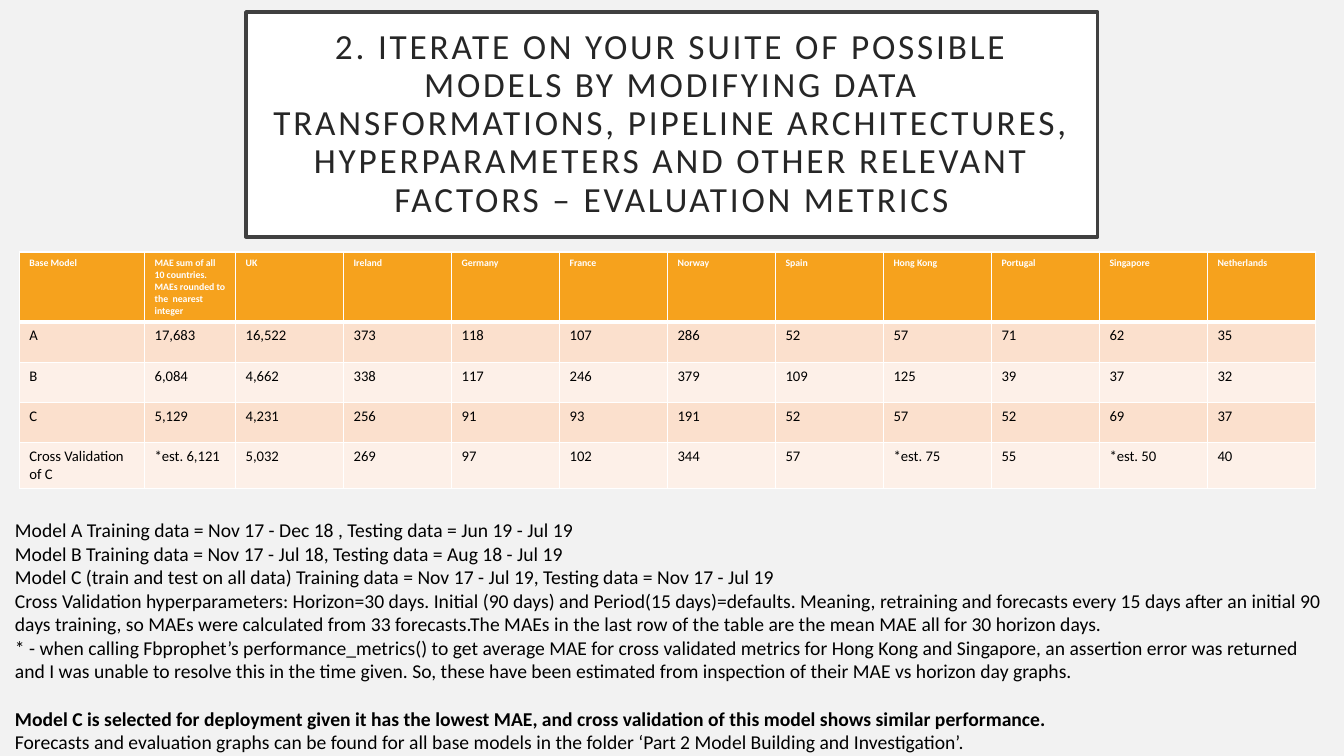
from lxml.etree import SubElement
from pptx import Presentation
from pptx.dml.color import RGBColor
from pptx.enum.text import MSO_ANCHOR, MSO_AUTO_SIZE, PP_ALIGN
from pptx.oxml.ns import qn
from pptx.util import Pt

COLORS = {
    "background": "F2F2F2", "white": "FFFFFF", "frame": "404040",
    "heading": "262626", "black": "000000", "header": "F6A21D",
    "odd": "FBE0CD", "even": "FDF0E8",
}

HEADING = (
    "2. ITERATE ON YOUR SUITE OF POSSIBLE MODELS BY MODIFYING DATA "
    "TRANSFORMATIONS, PIPELINE ARCHITECTURES, HYPERPARAMETERS AND OTHER "
    "RELEVANT FACTORS – EVALUATION METRICS"
)

METRICS = [
    ["Base Model",
     "MAE sum of all 10 countries. MAEs rounded to the  nearest integer",
     "UK", "Ireland", "Germany", "France", "Norway", "Spain", "Hong Kong",
     "Portugal", "Singapore", "Netherlands"],
    ["A", "17,683", "16,522", "373", "118", "107", "286", "52", "57", "71", "62", "35"],
    ["B", "6,084", "4,662", "338", "117", "246", "379", "109", "125", "39", "37", "32"],
    ["C", "5,129", "4,231", "256", "91", "93", "191", "52", "57", "52", "69", "37"],
    ["Cross Validation of C", "*est. 6,121", "5,032", "269", "97", "102", "344",
     "57", "*est. 75", "55", "*est. 50", "40"],
]
COLUMN_WIDTHS = [89.5, 65] + [77.14] * 10
ROW_HEIGHTS = [44] + [28.8] * 4

NOTES = [
    "Model A Training data = Nov 17 - Dec 18 , Testing data = Jun 19 - Jul 19",
    "Model B Training data = Nov 17 - Jul 18, Testing data = Aug 18 - Jul 19",
    "Model C (train and test on all data) Training data = Nov 17 - Jul 19, "
    "Testing data = Nov 17 - Jul 19",
    "Cross Validation hyperparameters: Horizon=30 days. Initial (90 days) and "
    "Period(15 days)=defaults. Meaning, retraining and forecasts every 15 days "
    "after an initial 90 days training, so MAEs were calculated from 33 "
    "forecasts.The MAEs in the last row of the table are the mean MAE all for "
    "30 horizon days.",
    "* - when calling Fbprophet’s performance_metrics() to get average MAE for "
    "cross validated metrics for Hong Kong and Singapore, an assertion error was "
    "returned and I was unable to resolve this in the time given. So, these have "
    "been estimated from inspection of their MAE vs horizon day graphs.",
]
CONCLUSION = (
    "Model C is selected for deployment given it has the lowest MAE, and cross "
    "validation of this model shows similar performance."
)
REFERENCE = (
    "Forecasts and evaluation graphs can be found for all base models in the "
    "folder ‘Part 2 Model Building and Investigation’."
)


def rgb(name):
    return RGBColor.from_string(COLORS[name])


def apply(target, values):
    for attribute, value in values.items():
        setattr(target, attribute, value)


def paint(fill, color):
    fill.solid()
    fill.fore_color.rgb = rgb(color)


def write(paragraph, text, size, color, bold=False):
    run = paragraph.add_run()
    run.text = text
    apply(run.font, {"name": "Calibri", "size": Pt(size), "bold": bold})
    run.font.color.rgb = rgb(color)
    return run


def add_heading(slide):
    heading = slide.shapes.title
    apply(heading, {"left": Pt(175.7), "top": Pt(8.6),
                    "width": Pt(608.4), "height": Pt(160.6)})
    paint(heading.fill, "white")
    paint(heading.line.fill, "frame")
    heading.line.width = Pt(2.5)
    frame = heading.text_frame
    inset = Pt(14.4)
    apply(frame, {"word_wrap": True, "auto_size": MSO_AUTO_SIZE.NONE,
                  "vertical_anchor": MSO_ANCHOR.MIDDLE,
                  "margin_left": inset, "margin_right": inset,
                  "margin_top": inset, "margin_bottom": inset})
    paragraph = frame.paragraphs[0]
    apply(paragraph, {"alignment": PP_ALIGN.CENTER, "line_spacing": 0.9,
                      "space_before": Pt(0)})
    run = write(paragraph, HEADING, 25.2, "heading")
    run.font._element.set("spc", "200")


def add_borders(cell, top, bottom):
    properties = cell._tc.get_or_add_tcPr()
    for side, width in {"lnL": 1, "lnR": 1, "lnT": top, "lnB": bottom}.items():
        border = SubElement(properties, qn(f"a:{side}"), w=str(Pt(width)))
        fill = SubElement(border, qn("a:solidFill"))
        SubElement(fill, qn("a:srgbClr"), val=COLORS["white"])


def add_metrics(slide):
    table = slide.shapes.add_table(
        len(METRICS), len(COLUMN_WIDTHS), Pt(13.8), Pt(180),
        Pt(sum(COLUMN_WIDTHS)), Pt(sum(ROW_HEIGHTS))).table
    for column, width in zip(table.columns, COLUMN_WIDTHS):
        column.width = Pt(width)
    for index, (row, height, values) in enumerate(zip(table.rows, ROW_HEIGHTS, METRICS)):
        row.height = Pt(height)
        is_header = index == 0
        band = "header" if is_header else "odd" if index % 2 else "even"
        size, color = (7, "white") if is_header else (10.5, "black")
        for cell, value in zip(row.cells, values):
            add_borders(cell, 3 if index == 1 else 1, 3 if is_header else 1)
            paint(cell.fill, band)
            write(cell.text_frame.paragraphs[0], value, size, color, is_header)


def add_notes(slide):
    frame = slide.shapes.add_textbox(Pt(3.6), Pt(366.5), Pt(953.3), Pt(193.7)).text_frame
    apply(frame, {"word_wrap": True, "auto_size": MSO_AUTO_SIZE.SHAPE_TO_FIT_TEXT})
    for index, text in enumerate(NOTES + [CONCLUSION, REFERENCE]):
        paragraph = frame.add_paragraph() if index else frame.paragraphs[0]
        if text == CONCLUSION:
            paragraph.space_before = Pt(17)
        write(paragraph, text, 14, "black", text == CONCLUSION)


def main():
    deck = Presentation()
    apply(deck, {"slide_width": Pt(960), "slide_height": Pt(540)})
    slide = deck.slides.add_slide(deck.slide_layouts[5])
    paint(slide.background.fill, "background")
    add_heading(slide)
    add_metrics(slide)
    add_notes(slide)
    deck.save("out.pptx")


if __name__ == "__main__":
    main()
